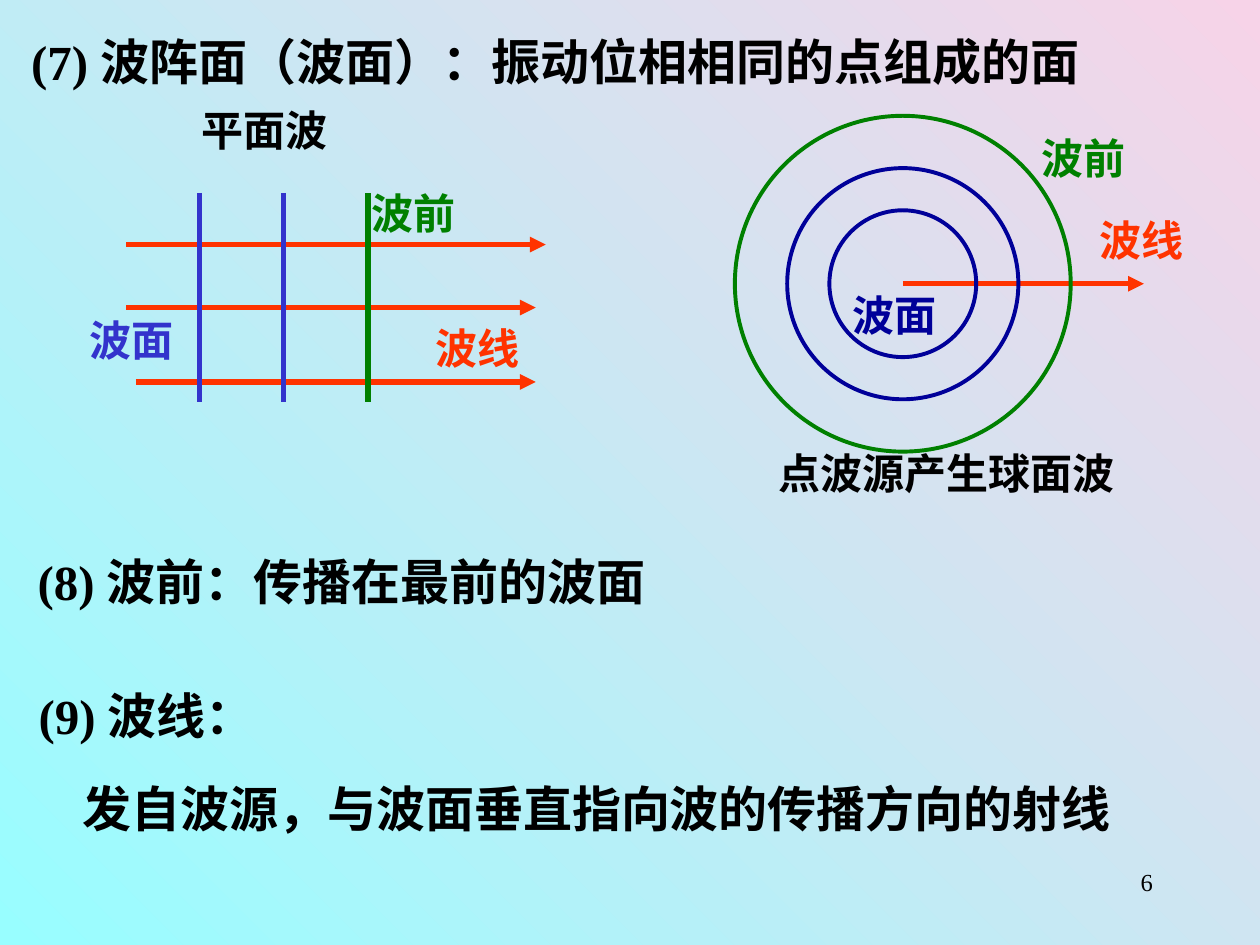
import pptx
import pptx.util
import pptx.dml.color
import pptx.enum.shapes
import pptx.enum.text
import pptx.oxml.ns
import lxml.etree

Cm = pptx.util.Cm
Pt = pptx.util.Pt
RGBColor = pptx.dml.color.RGBColor

BLACK = RGBColor(0x00, 0x00, 0x00)
RED = RGBColor(0xFF, 0x33, 0x00)
GREEN = RGBColor(0x00, 0x80, 0x00)
NAVY = RGBColor(0x00, 0x00, 0x99)
BLUE = RGBColor(0x33, 0x33, 0xCC)
CYAN = RGBColor(0x98, 0xFE, 0xFF)
PINK = RGBColor(0xF7, 0xD3, 0xE8)


class WaveSlide:
    font_name = "Times New Roman"
    ray_width = 3
    circle_width = 2.25

    def __init__(self, slide):
        self.slide = slide

    def background(self, start, end, angle):
        fill = self.slide.background.fill
        fill.gradient()
        fill.gradient_angle = angle
        for stop, color in zip(fill.gradient_stops, (start, end)):
            stop.color.rgb = color

    def text(self, words, left, top, width, height=1.27, size=24, color=BLACK,
             bold=True, wrap=True, grow=True,
             align=pptx.enum.text.PP_ALIGN.LEFT):
        box = self.slide.shapes.add_textbox(Cm(left), Cm(top), Cm(width), Cm(height))
        frame = box.text_frame
        frame.word_wrap = wrap
        if grow:
            frame.auto_size = pptx.enum.text.MSO_AUTO_SIZE.SHAPE_TO_FIT_TEXT
        paragraph = frame.paragraphs[0]
        paragraph.alignment = align
        run = paragraph.add_run()
        run.text = words
        font_format = {"name": self.font_name, "size": Pt(size), "bold": bold}
        for attribute, value in font_format.items():
            setattr(run.font, attribute, value)
        run.font.color.rgb = color

    def statement(self, words, left, top, width, wrap=True):
        self.text(words, left, top, width, height=1.45, size=28, wrap=wrap)

    def line(self, start, end, color, arrow=False, group=None):
        shapes = (group or self.slide).shapes
        line = shapes.add_connector(
            pptx.enum.shapes.MSO_CONNECTOR.STRAIGHT,
            *(Cm(length) for length in (*start, *end)))
        line.line.color.rgb = color
        line.line.width = Pt(self.ray_width)
        qn = pptx.oxml.ns.qn
        if arrow:
            outline = line.line._get_or_add_ln()
            lxml.etree.SubElement(outline, qn("a:tailEnd"), type="triangle")
        lxml.etree.SubElement(line._element.spPr, qn("a:effectLst"))

    def circle(self, center, diameter, color, group):
        left, top = (Cm(length - diameter / 2) for length in center)
        circle = group.shapes.add_shape(
            pptx.enum.shapes.MSO_SHAPE.OVAL, left, top, Cm(diameter), Cm(diameter))
        circle.shadow.inherit = False
        circle.fill.background()
        circle.line.color.rgb = color
        circle.line.width = Pt(self.circle_width)

    def group(self):
        return self.slide.shapes.add_group_shape()


def main():
    presentation = pptx.Presentation()
    presentation.slide_width = Cm(25.4)
    presentation.slide_height = Cm(19.05)
    page = WaveSlide(presentation.slides.add_slide(presentation.slide_layouts[6]))
    page.background(CYAN, PINK, 45)

    # Definitions
    page.statement("(7) 波阵面（波面）：振动位相相同的点组成的面", 0.38, 0.51, 23.11)
    page.statement("(8) 波前：传播在最前的波面", 0.51, 11, 13.44)
    page.statement("(9) 波线：", 0.53, 13.69, 5.11, wrap=False)
    page.statement("发自波源，与波面垂直指向波的传播方向的射线", 1.42, 15.57, 21.72)

    # Plane wave: rays crossed by evenly spaced fronts
    for start, end, height in ((2.54, 11, 4.93), (2.54, 10.8, 6.2), (2.74, 10.8, 7.7)):
        page.line((start, height), (end, height), RED, arrow=True)
    plane_fronts = page.group()
    for index, color in enumerate((BLUE, BLUE, GREEN)):
        x = 4.02 + 1.7 * index
        page.line((x, 3.89), (x, 8.1), color, group=plane_fronts)
    page.text("平面波", 3.81, 1.98, 5.28)
    page.text("波前", 7.24, 3.66, 4.39, color=GREEN)
    page.text("波面", 1.55, 6.22, 2.84, color=BLUE)
    page.text("波线", 8.53, 6.38, 4.65, color=RED)

    # Spherical wave: concentric fronts around a point source
    source = (18.2, 5.72)
    page.line(source, (23.06, source[1]), RED, arrow=True)
    sphere_fronts = page.group()
    for diameter, color in ((2.96, NAVY), (4.66, NAVY), (6.77, GREEN)):
        page.circle(source, diameter, color, sphere_fronts)
    page.text("波面", 16.94, 5.72, 3.18, color=NAVY)
    page.text("波前", 20.75, 2.54, 3.61, color=GREEN)
    page.text("波线", 21.92, 4.19, 2.79, color=RED)
    page.text("点波源产生球面波", 15.45, 8.89, 8.69)

    # Page number
    page.text("6", 18.21, 17.35, 5.28, size=14, bold=False, grow=False,
              align=pptx.enum.text.PP_ALIGN.RIGHT)

    presentation.save("out.pptx")


if __name__ == "__main__":
    main()
